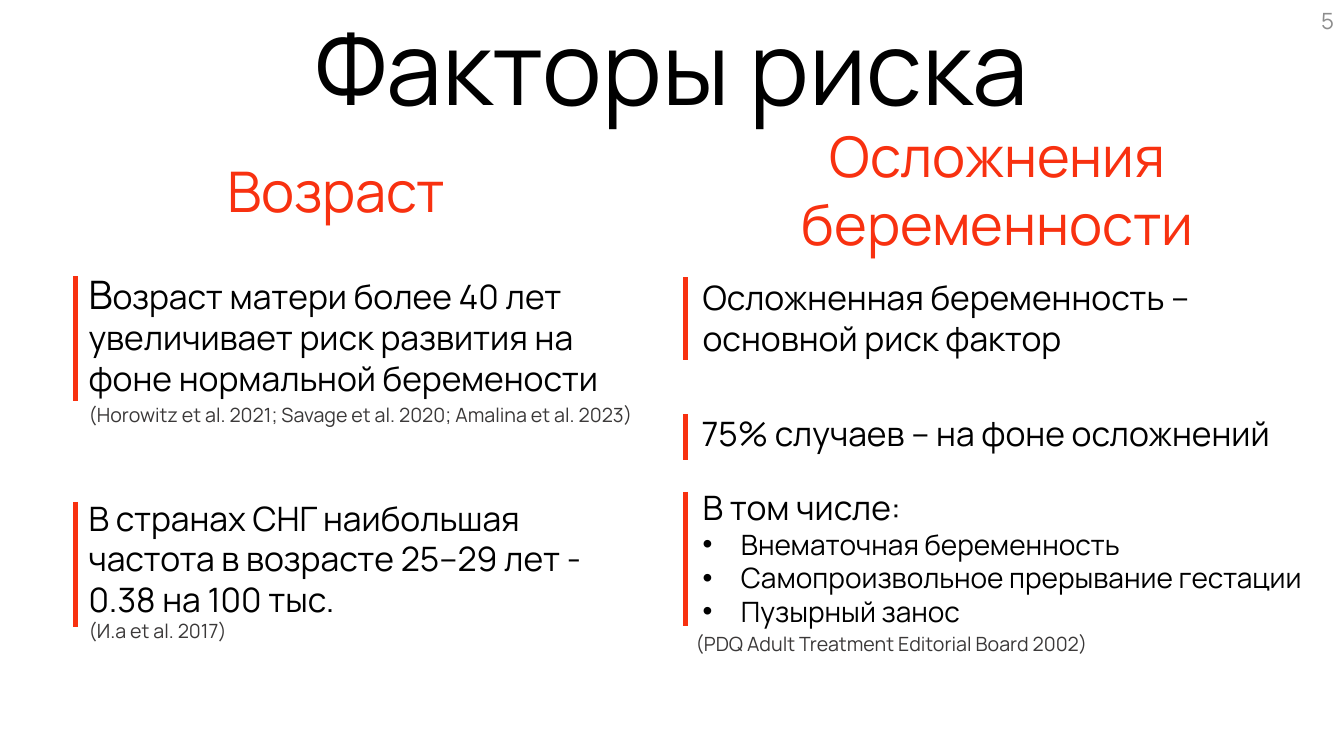
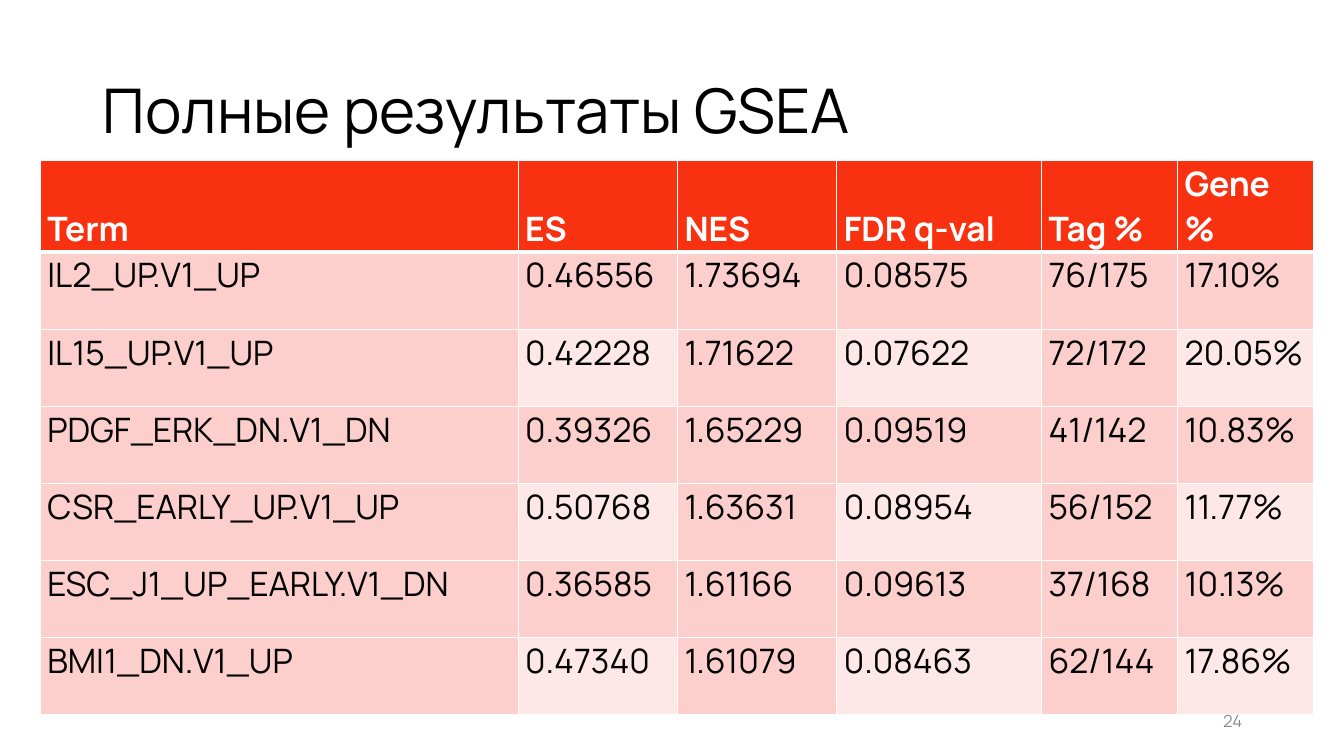
from dataclasses import dataclass
from typing import Any

from lxml.etree import SubElement
from pptx import Presentation
from pptx.dml.color import RGBColor
from pptx.enum.shapes import MSO_CONNECTOR
from pptx.enum.text import MSO_ANCHOR, MSO_AUTO_SIZE, PP_ALIGN
from pptx.oxml.ns import qn
from pptx.util import Pt

EMU_PER_PX = 9144


def px(length):
    """Turn a length in px (100 to the inch) into EMU."""
    return length * EMU_PER_PX


@dataclass(frozen=True)
class Style:
    """Size, colour and weight of a piece of text."""
    size: int
    color: str
    bold: bool = False


@dataclass(frozen=True)
class Theme:
    """Font, colours and type sizes shared by the slides."""
    font: str = "Manrope"
    accent: str = "F83110"
    white: str = "FFFFFF"
    band: str = "FCCECC"
    pale_band: str = "FEE8E7"
    hero: Style = Style(72, "000000")
    title: Style = Style(44, "000000")
    heading: Style = Style(40, "F83110")
    initial: Style = Style(28, "000000")
    body: Style = Style(24, "000000")
    bullet: Style = Style(20, "000000")
    citation: Style = Style(14, "3A3838")
    table_head: Style = Style(24, "FFFFFF", True)
    page_large: Style = Style(16, "8C8C8C")
    page_small: Style = Style(12, "8C8C8C")


THEME = Theme()


@dataclass
class Deck:
    """Presentation with its theme and current slide."""
    presentation: Any
    theme: Theme = THEME
    slide: Any = None

    def new_slide(self, title, box, style, align=PP_ALIGN.LEFT):
        """Start a title-only slide and place its title."""
        layout = self.presentation.slide_layouts[5]
        self.slide = self.presentation.slides.add_slide(layout)
        heading = self.slide.shapes.title
        heading.left, heading.top, heading.width, heading.height = map(px, box)
        self.set_text(heading.text_frame, [[(title, style)]], align, MSO_ANCHOR.MIDDLE)
        heading.text_frame.paragraphs[0].line_spacing = 0.9

    def set_text(self, frame, paragraphs, align=PP_ALIGN.LEFT, anchor=MSO_ANCHOR.TOP):
        """Fill a text frame with paragraphs of styled runs."""
        frame.word_wrap = True
        frame.auto_size = MSO_AUTO_SIZE.NONE
        frame.vertical_anchor = anchor
        frame.text = "\n".join("" for _ in paragraphs)
        for paragraph, pieces in zip(frame.paragraphs, paragraphs):
            paragraph.alignment = align
            for words, style in pieces:
                run = paragraph.add_run()
                run.text = words
                self.set_font(run.font, style)
                if style == self.theme.bullet:
                    self.add_bullet(paragraph)

    def set_font(self, font, style):
        """Apply a style to a font."""
        font.name = self.theme.font
        font.size = Pt(style.size)
        font.bold = style.bold
        font.color.rgb = RGBColor.from_string(style.color)

    def add_bullet(self, paragraph):
        """Give a paragraph a hanging bullet."""
        properties = paragraph._p.get_or_add_pPr()
        properties.set("marL", str(px(38)))
        properties.set("indent", str(-px(38)))
        SubElement(properties, qn("a:buFont"), typeface="Arial")
        SubElement(properties, qn("a:buChar"), char="•")

    def text(self, box, paragraphs, align=PP_ALIGN.LEFT, anchor=MSO_ANCHOR.TOP):
        """Add a text box."""
        frame = self.slide.shapes.add_textbox(*map(px, box)).text_frame
        self.set_text(frame, paragraphs, align, anchor)

    def bar(self, x, top, bottom):
        """Add an upright accent line."""
        line = self.slide.shapes.add_connector(
            MSO_CONNECTOR.STRAIGHT, px(x), px(top), px(x), px(bottom))
        line.line.color.rgb = RGBColor.from_string(self.theme.accent)
        line.line.width = Pt(4)
        SubElement(line._element.spPr, qn("a:effectLst"))

    def page(self, number, box, style):
        """Add the page number."""
        self.text(box, [[(number, style)]], PP_ALIGN.RIGHT, MSO_ANCHOR.MIDDLE)

    def table(self, box, widths, rows):
        """Add a table with an accent header and checked bands."""
        grid = self.slide.shapes.add_table(len(rows), len(widths), *map(px, box)).table
        for column, width in zip(grid.columns, widths):
            column.width = px(width)
        for row, values in enumerate(rows):
            for column, value in enumerate(values):
                self.cell(grid.cell(row, column), value, row, column)

    def cell(self, cell, value, row, column):
        """Fill and style one table cell."""
        theme = self.theme
        header = row == 0
        pale = row % 2 == 0 and column % 2 == 1
        fill = theme.accent if header else theme.pale_band if pale else theme.band
        for side in "LRTB":
            thick = (header and side == "B") or (row == 1 and side == "T")
            self.border(cell, side, 3 if thick else 1)
        cell.fill.solid()
        cell.fill.fore_color.rgb = RGBColor.from_string(fill)
        cell.margin_left = cell.margin_right = px(7)
        cell.margin_top = cell.margin_bottom = 0
        cell.vertical_anchor = MSO_ANCHOR.BOTTOM if header else MSO_ANCHOR.TOP
        cell.text_frame.text = value
        paragraph = cell.text_frame.paragraphs[0]
        paragraph.space_before = paragraph.space_after = Pt(1.8)
        self.set_font(paragraph.runs[0].font, theme.table_head if header else theme.body)

    def border(self, cell, side, points):
        """Draw one white cell border."""
        line = SubElement(cell._tc.get_or_add_tcPr(), qn(f"a:ln{side}"), w=str(Pt(points)))
        SubElement(SubElement(line, qn("a:solidFill")), qn("a:srgbClr"), val=self.theme.white)


def risk_factors(deck):
    """Build the slide on risk factors."""
    theme = deck.theme
    deck.new_slide("Факторы риска", (0, 0, 1333, 145), theme.hero, PP_ALIGN.CENTER)
    headings = [
        ((0, 150, 667, 77), "Возраст"),
        ((656, 116, 667, 145), "Осложнения беременности"),
    ]
    for box, heading in headings:
        deck.text(box, [[(heading, theme.heading)]], PP_ALIGN.CENTER)

    complications = ["Внематочная беременность",
                     "Самопроизвольное прерывание гестации",
                     "Пузырный занос"]
    statements = [
        ((78, 263, 556, 138), (75, 274, 398), [
            [("В", theme.initial),
             ("озраст матери более 40 лет увеличивает риск развития на фоне "
              "нормальной беремености", theme.body)]]),
        ((78, 489, 556, 155), (75, 498, 622), [
            [("В странах СНГ наибольшая частота в возрасте 25–29 лет - "
              "0.38 на 100 тыс.", theme.body)],
            [("(И.а et al. 2017)", theme.citation)]]),
        ((687, 270, 559, 91), (680, 275, 357), [
            [("Осложненная беременность – основной риск фактор", theme.body)]]),
        ((686, 405, 592, 50), (680, 411, 456), [
            [("75% случаев – на фоне осложнений", theme.body)]]),
        ((687, 478, 635, 151), (680, 488, 621), [
            [("В том числе:", theme.body)],
            *[[(complication, theme.bullet)] for complication in complications]]),
    ]
    for box, bar, paragraphs in statements:
        deck.text(box, paragraphs)
        deck.bar(*bar)

    citations = [
        ((78, 395, 672, 34),
         "(Horowitz et al. 2021; Savage et al. 2020; Amalina et al. 2023)"),
        ((680, 622, 672, 34), "(PDQ Adult Treatment Editorial Board 2002)"),
    ]
    for box, citation in citations:
        deck.text(box, [[(citation, theme.citation)]])
    deck.page("5", (1033, 0, 300, 40), theme.page_large)


def gsea_results(deck):
    """Build the slide with the full GSEA table."""
    theme = deck.theme
    deck.new_slide("Полные результаты GSEA", (92, 40, 1150, 145), theme.title)
    deck.table((40, 159, 1263, 536), (474, 158, 158, 203, 135, 135), [
        ("Term", "ES", "NES", "FDR q-val", "Tag %", "Gene %"),
        ("IL2_UP.V1_UP", "0.46556", "1.73694", "0.08575", "76/175", "17.10%"),
        ("IL15_UP.V1_UP", "0.42228", "1.71622", "0.07622", "72/172", "20.05%"),
        ("PDGF_ERK_DN.V1_DN", "0.39326", "1.65229", "0.09519", "41/142", "10.83%"),
        ("CSR_EARLY_UP.V1_UP", "0.50768", "1.63631", "0.08954", "56/152", "11.77%"),
        ("ESC_J1_UP_EARLY.V1_DN", "0.36585", "1.61166", "0.09613", "37/168", "10.13%"),
        ("BMI1_DN.V1_UP", "0.47340", "1.61079", "0.08463", "62/144", "17.86%"),
    ])
    deck.page("24", (942, 695, 300, 40), theme.page_small)


def main():
    """Build and save the presentation."""
    presentation = Presentation()
    presentation.slide_width = px(1333)
    presentation.slide_height = px(750)
    deck = Deck(presentation)
    risk_factors(deck)
    gsea_results(deck)
    presentation.save("out.pptx")


if __name__ == "__main__":
    main()
